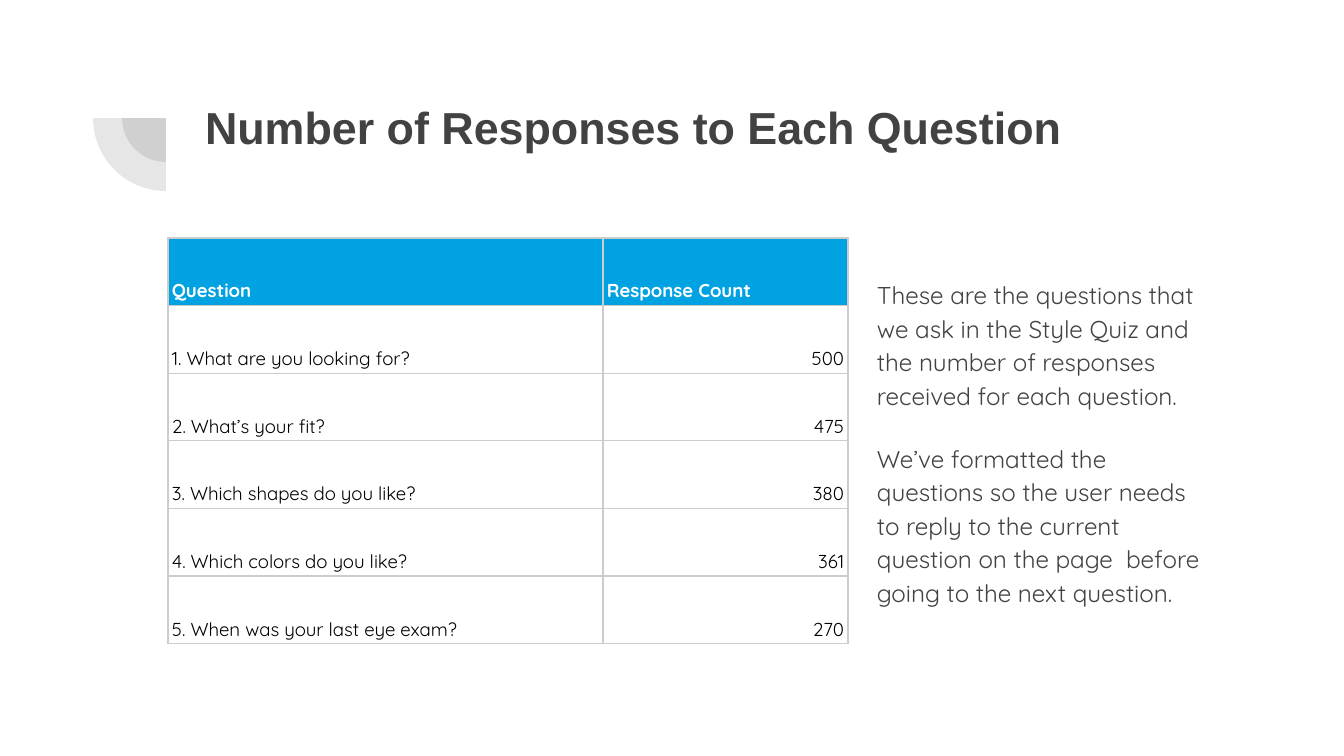
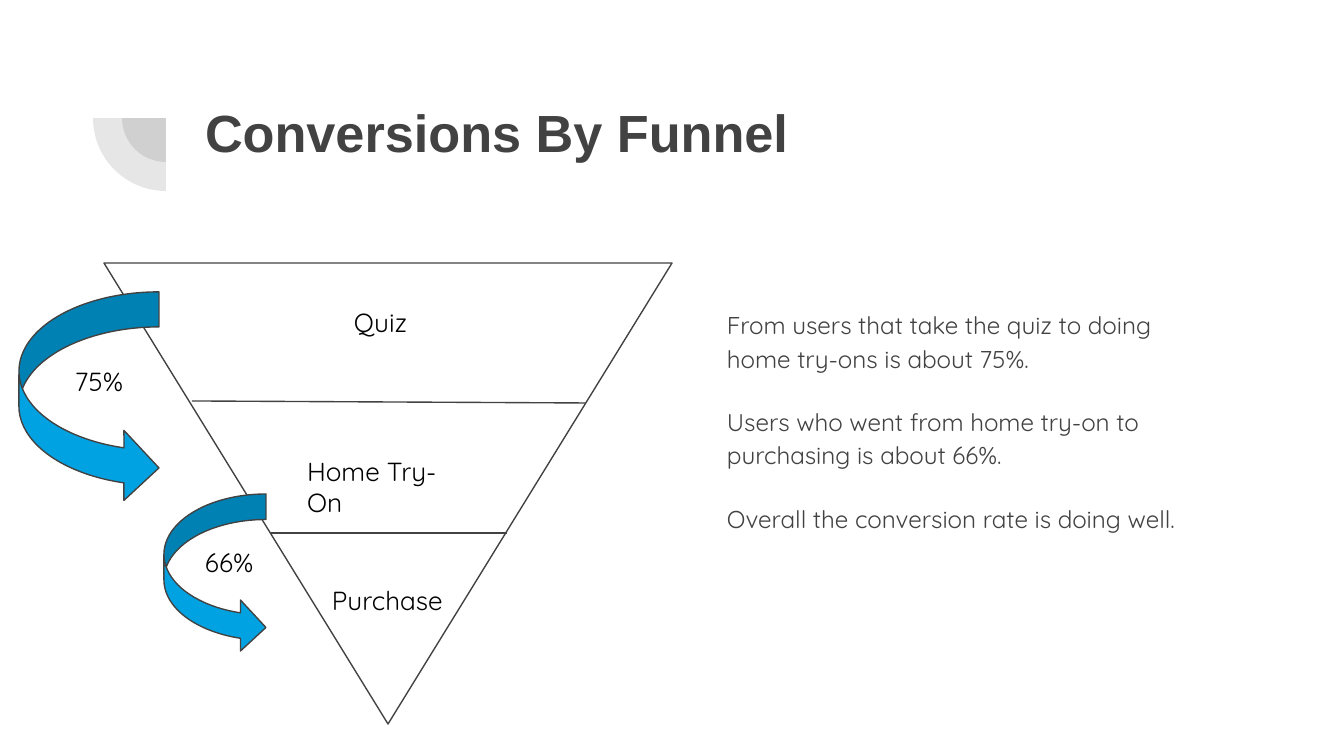
from dataclasses import dataclass

from lxml import etree
from pptx import Presentation
from pptx import util as u
from pptx.dml.color import RGBColor
from pptx.enum import shapes, text
from pptx.oxml import ns

SCALE = 914400 / 134.4  # EMU in one pixel


@dataclass(frozen=True)
class Theme:
    ink: str = "424242"
    black: str = "000000"
    white: str = "FFFFFF"
    accent: str = "00A2E1"
    grid: str = "CCCCCC"
    title_font: str = "Arial"
    body_font: str = "Quicksand"
    body_size: int = 13
    label_size: int = 14
    table_size: int = 10
    line_width: float = 0.75
    spacing: float = 1.15
    paragraph_gap: int = 16
    inset: int = 13


THEME = Theme()


def px(value):
    return u.Emu(round(value * SCALE))


def rgb(color):
    return RGBColor.from_string(color)


def add_child(parent, tag, **attributes):
    return etree.SubElement(parent, ns.qn(tag), **attributes)


# Text
def write(frame, *paragraphs, size, color, font=THEME.body_font, bold=False,
          spacing=None, gap=0, align=text.PP_ALIGN.LEFT):
    for index, words in enumerate(paragraphs):
        para = frame.add_paragraph() if index else frame.paragraphs[0]
        para.alignment = align
        if spacing:
            para.line_spacing = spacing
        if index and gap:
            para.space_before = u.Pt(gap)
        span = para.add_run()
        span.text = words
        span.font.name = font
        span.font.size = u.Pt(size)
        span.font.bold = bold
        span.font.color.rgb = rgb(color)


def add_text(page, left, top, width, height, *paragraphs, inset_top=THEME.inset, **style):
    box = page.shapes.add_textbox(px(left), px(top), px(width), px(height))
    frame = box.text_frame
    frame.word_wrap = True
    frame.margin_left = frame.margin_right = frame.margin_bottom = px(THEME.inset)
    frame.margin_top = px(inset_top)
    write(frame, *paragraphs, **style)


def add_body(page, left, top, width, height, *paragraphs, inset_top=THEME.inset):
    add_text(page, left, top, width, height, *paragraphs, inset_top=inset_top,
             size=THEME.body_size, color=THEME.ink, spacing=THEME.spacing,
             gap=THEME.paragraph_gap)


def add_label(page, left, top, width, height, words):
    add_text(page, left, top, width, height, words, size=THEME.label_size, color=THEME.black)


# Shapes
def add_preset(page, kind, left, top, width, height, fill=None, outlined=True):
    shape = page.shapes.add_shape(kind, px(left), px(top), px(width), px(height))
    shape.shadow.inherit = False
    if fill:
        shape.fill.solid()
        shape.fill.fore_color.rgb = rgb(fill)
    else:
        shape.fill.background()
    if outlined:
        shape.line.color.rgb = rgb(THEME.ink)
        shape.line.width = u.Pt(THEME.line_width)
    else:
        shape.line.fill.background()
    return shape


def add_divider(page, x1, y1, x2, y2):
    line = page.shapes.add_connector(shapes.MSO_CONNECTOR.STRAIGHT, px(x1), px(y1), px(x2), px(y2))
    line.line.color.rgb = rgb(THEME.ink)
    line.line.width = u.Pt(THEME.line_width)
    add_child(line._element.spPr, "a:effectLst")


def add_quarter(page, center_x, center_y, diameter):
    left, top = center_x - diameter / 2, center_y - diameter / 2
    pie = add_preset(page, shapes.MSO_SHAPE.PIE, left, top, diameter, diameter,
                     fill=THEME.ink, outlined=False)
    pie.adjustments[0] = 108
    pie.adjustments[1] = 162
    pie.rotation = 270
    color = pie._element.spPr.find(".//" + ns.qn("a:srgbClr"))
    add_child(color, "a:alpha", val="13000")


# Table
def set_borders(cell):
    properties = cell._tc.get_or_add_tcPr()
    for index, side in enumerate("LRTB"):
        border = etree.Element(ns.qn(f"a:ln{side}"), w=str(u.Pt(THEME.line_width)))
        fill = add_child(border, "a:solidFill")
        add_child(fill, "a:srgbClr", val=THEME.grid)
        properties.insert(index, border)


def format_cell(cell, words, header, numeric):
    cell.margin_left = cell.margin_right = px(4)
    cell.margin_top = cell.margin_bottom = px(3)
    cell.vertical_anchor = text.MSO_ANCHOR.BOTTOM
    if header:
        cell.fill.solid()
        cell.fill.fore_color.rgb = rgb(THEME.accent)
    else:
        cell.fill.background()
    set_borders(cell)
    write(cell.text_frame, words, size=THEME.table_size, bold=header,
          color=THEME.white if header else THEME.black, spacing=THEME.spacing,
          align=text.PP_ALIGN.RIGHT if numeric else text.PP_ALIGN.LEFT)


def add_grid(page, left, top, widths, height, rows):
    frame = page.shapes.add_table(len(rows), len(widths), px(left), px(top),
                                  px(sum(widths)), px(height))
    table = frame.table
    table.horz_banding = False
    for column, width in zip(table.columns, widths):
        column.width = px(width)
    for r, row in enumerate(rows):
        for c, words in enumerate(row):
            format_cell(table.cell(r, c), words, header=r == 0, numeric=r > 0 and c == 1)


# Slides
def add_page(deck, title, title_size):
    page = deck.slides.add_slide(deck.slide_layouts[6])
    for diameter in (88, 146):
        add_quarter(page, 166, 118, diameter)
    add_text(page, 192, 87, 1034, 146, title, size=title_size, color=THEME.ink,
             font=THEME.title_font, bold=True)
    return page


def build_responses(deck):
    page = add_page(deck, "Number of Responses to Each Question", 24)
    add_body(page, 864, 203, 360, 374,
             "These are the questions that we ask in the Style Quiz and the number of "
             "responses received for each question.",
             "We’ve formatted the questions so the user needs to reply to the current "
             "question on the page  before going to the next question.",
             inset_top=73)
    add_grid(page, 168, 238, (435, 245), 406, [
        ("Question", "Response Count"),
        ("1. What are you looking for?", "500"),
        ("2. What’s your fit?", "475"),
        ("3. Which shapes do you like?", "380"),
        ("4. Which colors do you like?", "361"),
        ("5. When was your last eye exam?", "270"),
    ])


def build_funnel(deck):
    page = add_page(deck, "Conversions By Funnel", 28)
    add_body(page, 714, 293, 512, 374,
             "From users that take the quiz to doing home try-ons is about 75%.",
             "Users who went from home try-on to purchasing is about 66%.",
             "Overall the conversion rate is doing well.")

    # Funnel and its stages
    funnel = add_preset(page, shapes.MSO_SHAPE.ISOSCELES_TRIANGLE, 104, 263, 568, 461)
    funnel.rotation = 180
    add_divider(page, 192, 401, 586, 403)
    add_divider(page, 271, 533, 507, 533)
    add_label(page, 341, 293, 93, 75, "Quiz")
    add_label(page, 294, 442, 190, 52, "Home Try-On")
    add_label(page, 319, 571, 140, 52, "Purchase")

    # Conversion arrows and rates
    for bounds in ((19, 292, 140, 211), (164, 494, 102, 159)):
        add_preset(page, shapes.MSO_SHAPE.CURVED_RIGHT_ARROW, *bounds, fill=THEME.accent)
    add_label(page, 62, 352, 102, 52, "75%")
    add_label(page, 192, 533, 102, 110, "66%")


def main():
    deck = Presentation()
    deck.slide_width, deck.slide_height = px(1344), px(756)
    build_responses(deck)
    build_funnel(deck)
    deck.save("out.pptx")


main()
